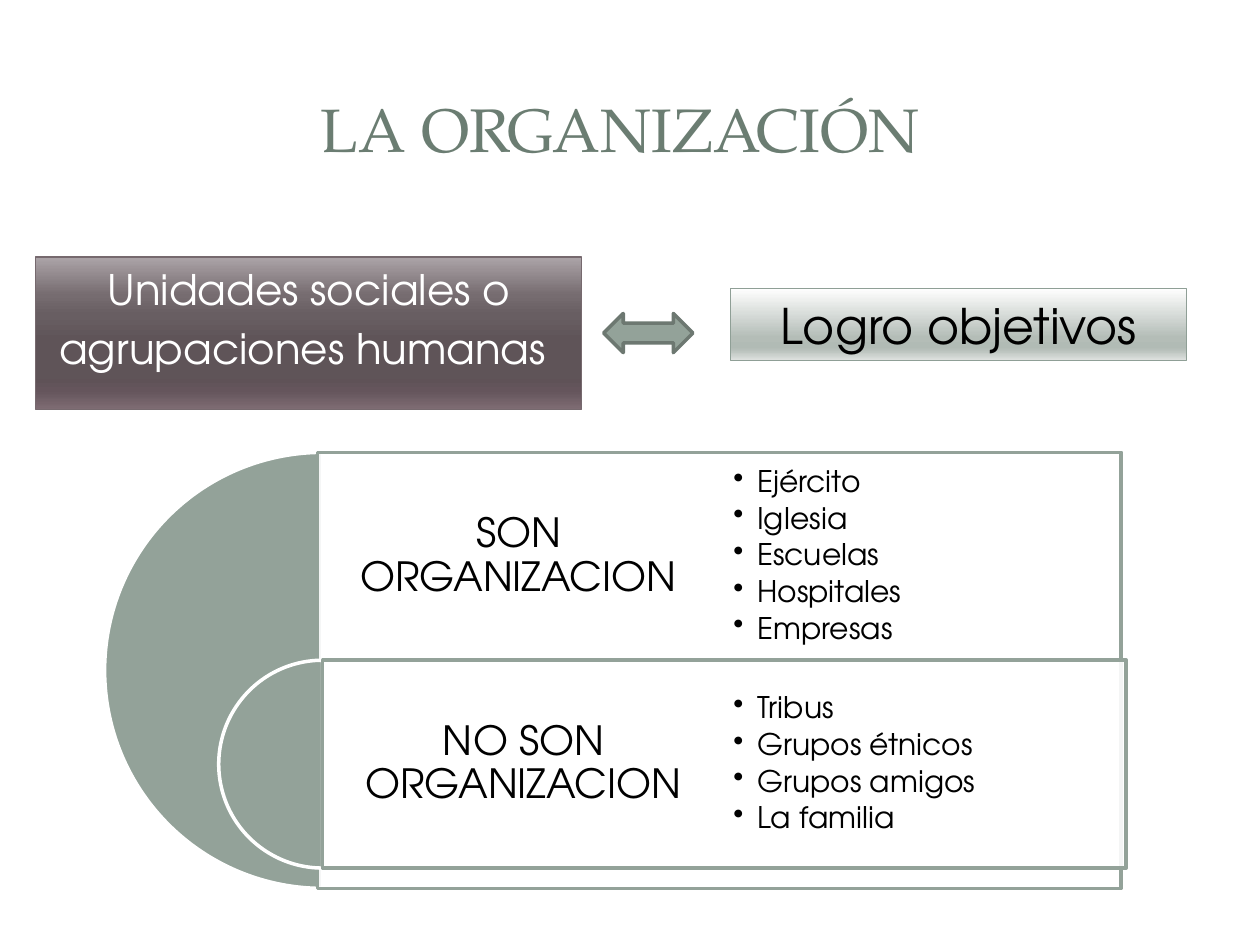
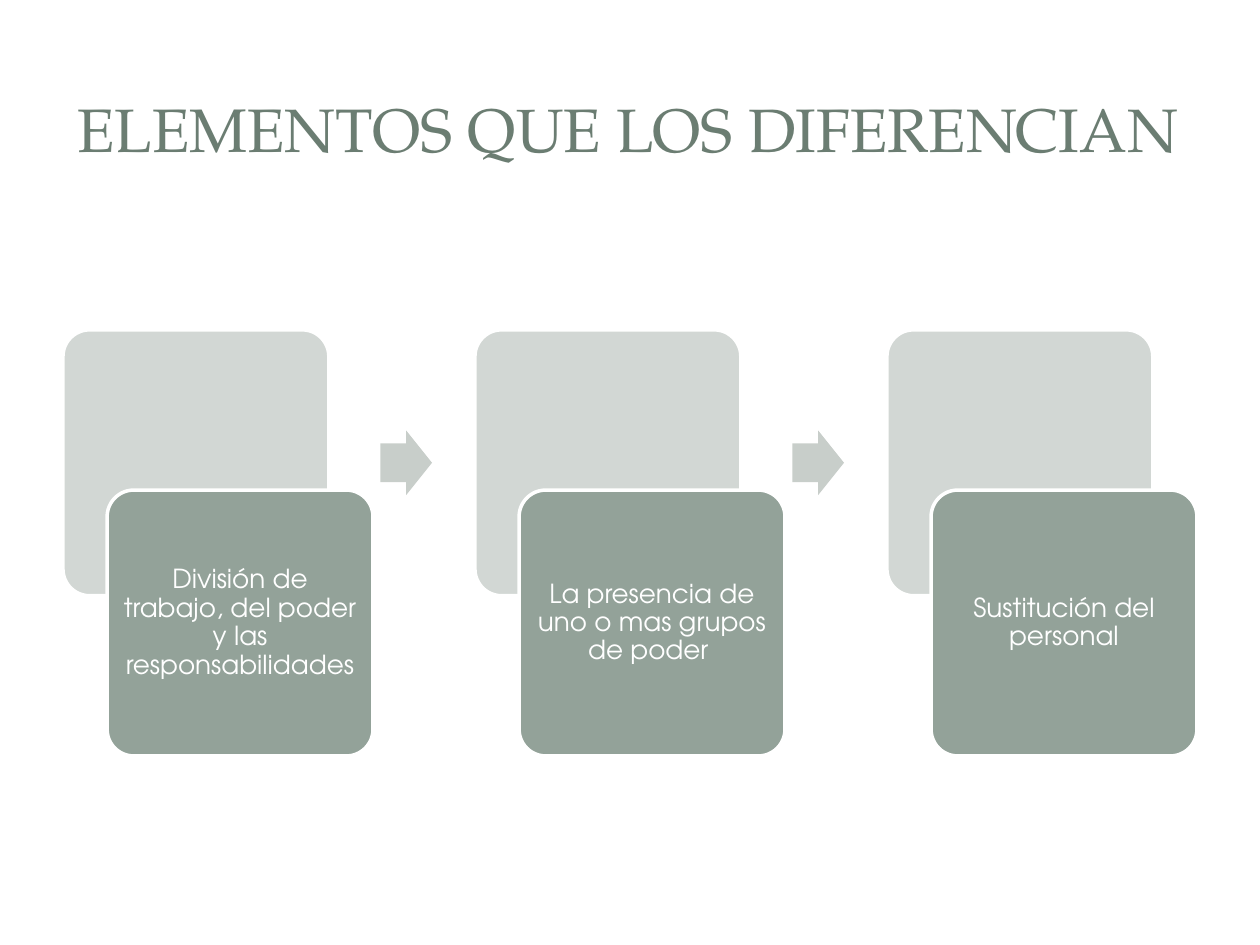
from lxml import etree
from pptx import Presentation
from pptx.dml.color import RGBColor
from pptx.enum.shapes import MSO_SHAPE
from pptx.enum.text import MSO_ANCHOR, PP_ALIGN
from pptx.oxml.ns import qn
from pptx.util import Cm, Pt

RECTANGLE = MSO_SHAPE.RECTANGLE
ROUNDED = MSO_SHAPE.ROUNDED_RECTANGLE
PIE = MSO_SHAPE.PIE
DOUBLE_ARROW = MSO_SHAPE.LEFT_RIGHT_ARROW
RIGHT_ARROW = MSO_SHAPE.RIGHT_ARROW
CENTER, LEFT = PP_ALIGN.CENTER, PP_ALIGN.LEFT
MIDDLE, TOP = MSO_ANCHOR.MIDDLE, MSO_ANCHOR.TOP

TITLE_FONT = "TeX Gyre Pagella"
BODY_FONT = "TeX Gyre Adventor"
TITLE_COLOR = "6B7D72"
SAGE = "93A299"
PALE_SAGE = "D2D7D4"
ARROW_SAGE = "C8CECA"
WHITE, BLACK = "FFFFFF", "000000"
MAUVE_STOPS = [(0, "ACA4A8"), (25, "766C70"), (38, "685E62"), (55, "5F5458"),
               (80, "5F5257"), (88, "65555C"), (100, "7E6C73")]
SAGE_STOPS = [(0, "FEFEFE"), (68, "B4BDB7"), (81, "B1BBB5"), (86, "B9C1BC"), (100, "E1E4E2")]

TITLE_BOX = (1.19, 1.14, 22.94, 2.9)
DEFINITION_BOX = (0.71, 5.18, 24, 3.07)
GROUPS_BOX = (2.11, 9.12, 20.6, 8.79)
STEPS_BOX = (1.27, 6.65, 22.86, 8.59)

GROUPS = [
    ("SON ORGANIZACION", ["Ejército", "Iglesia", "Escuelas", "Hospitales", "Empresas"]),
    ("NO SON ORGANIZACION", ["Tribus", "Grupos étnicos", "Grupos amigos", "La familia"]),
]
STEPS = [
    "División de trabajo, del poder y las responsabilidades",
    "La presencia de uno o mas grupos de poder ",
    "Sustitución del personal",
]


def rgb(color):
    return RGBColor.from_string(color)


def add_figure(page, kind, box, fill, line=None, width=2, adjustments=()):
    figure = page.shapes.add_shape(kind, *map(Cm, box))
    figure.shadow.inherit = False
    for index, value in enumerate(adjustments):
        figure.adjustments[index] = value
    figure.fill.solid()
    figure.fill.fore_color.rgb = rgb(fill)
    if line:
        figure.line.color.rgb = rgb(line)
        figure.line.width = Pt(width)
    else:
        figure.line.fill.background()
    return figure


def set_gradient(figure, stops):
    figure.fill.gradient()
    figure.fill.gradient_angle = 270
    stop_list = figure._element.spPr.find(".//" + qn("a:gsLst"))
    for stop in list(stop_list):
        stop_list.remove(stop)
    for position, color in stops:
        stop = etree.SubElement(stop_list, qn("a:gs"), pos=str(position * 1000))
        etree.SubElement(stop, qn("a:srgbClr"), val=color)


def set_opacity(figure, percent):
    color = figure._element.spPr.find(qn("a:solidFill"))[0]
    etree.SubElement(color, qn("a:alpha"), val=str(percent * 1000))


def set_text(figure, lines, size, color, font=BODY_FONT, align=CENTER, anchor=MIDDLE,
             margins=(0.25, 0.13), spacing=1, before=0, after=0):
    frame = figure.text_frame
    frame.word_wrap = True
    frame.vertical_anchor = anchor
    frame.margin_left = frame.margin_right = Cm(margins[0])
    frame.margin_top = frame.margin_bottom = Cm(margins[1])
    frame.text = "\n".join(lines)
    for para in frame.paragraphs:
        para.alignment = align
        para.line_spacing = spacing
        para.space_before = Pt(before)
        para.space_after = Pt(after)
        for span in para.runs:
            span.font.name = font
            span.font.size = Pt(size)
            span.font.color.rgb = rgb(color)


def add_text(page, box, lines, size, color, **style):
    text_box = page.shapes.add_textbox(*map(Cm, box))
    set_text(text_box, lines, size, color, **style)
    return text_box


def add_bullets(text_box, indent):
    for para in text_box.text_frame.paragraphs:
        properties = para._p.get_or_add_pPr()
        properties.set("marL", str(Cm(indent)))
        properties.set("indent", str(-Cm(indent)))
        etree.SubElement(properties, qn("a:buChar"), char="•")


def add_page(deck, title):
    page = deck.slides.add_slide(deck.slide_layouts[6])
    add_text(page, TITLE_BOX, [title], 35, TITLE_COLOR, font=TITLE_FONT)
    return page


def draw_definition(page, box):
    left, top, width, height = box
    units = add_figure(page, RECTANGLE, (left, top, 11.02, height), WHITE, "76696E", 0.75)
    set_gradient(units, MAUVE_STOPS)
    set_text(units, ["Unidades sociales o", "agrupaciones humanas "], 24, WHITE,
             anchor=TOP, before=4.8)
    add_figure(page, DOUBLE_ARROW, (left + 11.46, top + 1.14, 1.8, 0.79), SAGE, "6D7871")
    goals = add_figure(page, RECTANGLE, (left + 14.02, top + 0.64, 9.19, 1.45),
                       WHITE, "8F9F96", 0.75)
    set_gradient(goals, SAGE_STOPS)
    set_text(goals, ["Logro objetivos"], 28, BLACK, anchor=TOP)


def draw_groups(page, box):
    left, top, _, height = box
    center = left + height / 2
    row_height, column = 4.19, 8.1
    sizes = [(height, center - 0.1), (row_height, center)]
    for row, ((heading, members), (size, panel_left)) in enumerate(zip(GROUPS, sizes)):
        y = top + row * row_height
        add_figure(page, PIE, (center - size / 2, y, size, size), SAGE, WHITE,
                   adjustments=(54, 162))
        panel = add_figure(page, RECTANGLE, (panel_left, y, 2 * column, size), WHITE, SAGE)
        set_opacity(panel, 90)
        add_text(page, (panel_left, y, column, row_height), [heading], 23, BLACK,
                 margins=(0.25, 0.25), spacing=0.9, after=8)
        member_list = add_text(page, (center + column, y, column, row_height), members,
                               17, BLACK, align=LEFT, margins=(0.18, 0.18),
                               spacing=0.9, after=2.55)
        add_bullets(member_list, 0.48)


def draw_steps(page, box):
    left, top, width, height = box
    card, shift_x = 5.36, 0.89
    pitch = (width - card - shift_x) / (len(STEPS) - 1)
    for index, step in enumerate(STEPS):
        x = left + index * pitch
        add_figure(page, ROUNDED, (x, top, card, card), PALE_SAGE, WHITE, adjustments=(0.1,))
        front = add_figure(page, ROUNDED, (x + shift_x, top + height - card, card, card),
                           SAGE, WHITE, adjustments=(0.1,))
        set_text(front, [step], 15, WHITE, margins=(0.15, 0.15), spacing=0.9, after=5.25)
        if index < len(STEPS) - 1:
            add_figure(page, RIGHT_ARROW, (x + 6.4, top + 2.03, 1.04, 1.3), ARROW_SAGE,
                       adjustments=(0.6, 0.5))


def main():
    deck = Presentation()
    deck.slide_width, deck.slide_height = Cm(25.4), Cm(19.05)
    page = add_page(deck, "LA ORGANIZACIÓN ")
    draw_definition(page, DEFINITION_BOX)
    draw_groups(page, GROUPS_BOX)
    page = add_page(deck, "ELEMENTOS QUE LOS DIFERENCIAN")
    draw_steps(page, STEPS_BOX)
    deck.save("out.pptx")


if __name__ == "__main__":
    main()
